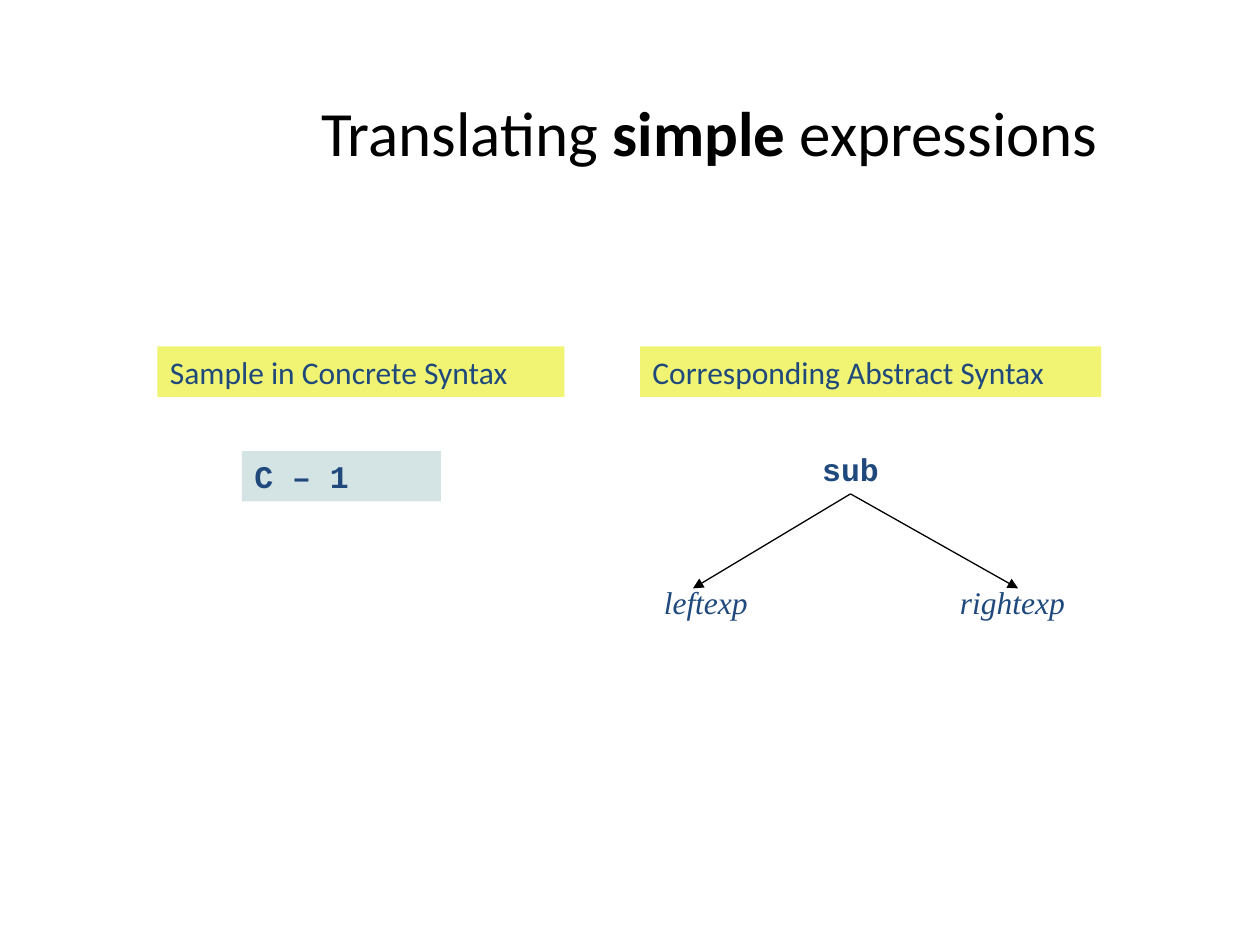
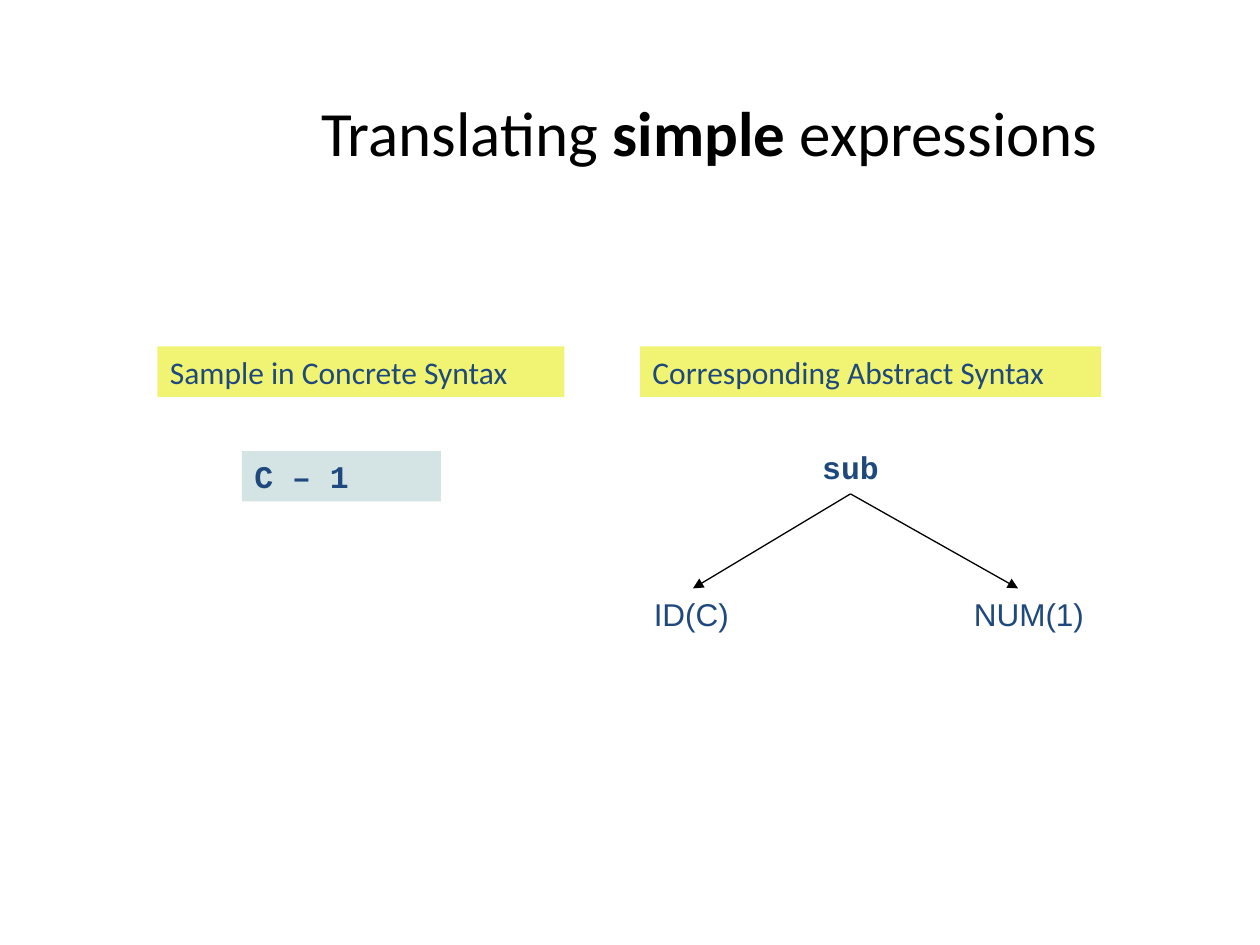
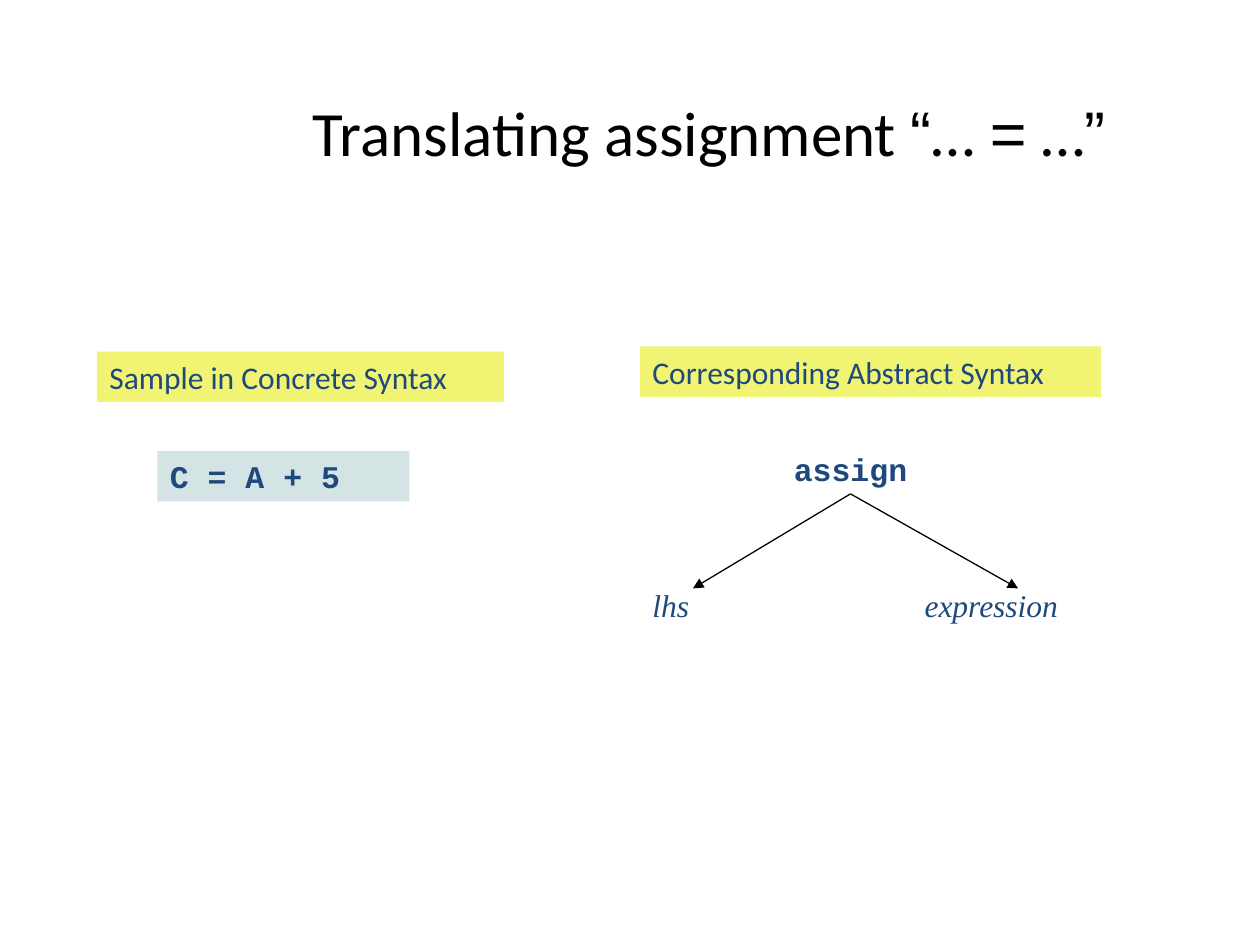
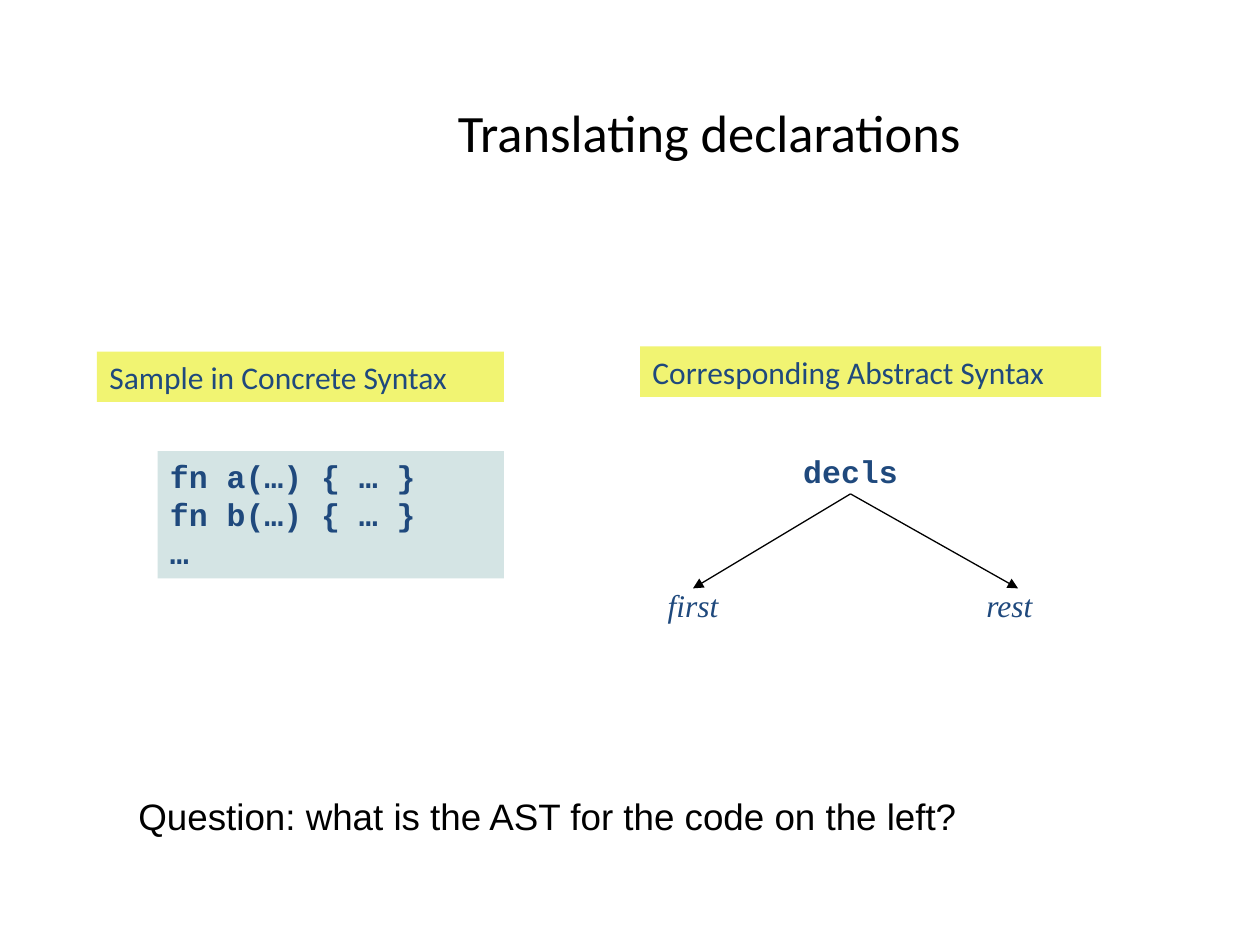
import pptx
import pptx.util
import pptx.dml.color
import pptx.enum.shapes
import pptx.enum.text
import pptx.oxml.ns
import lxml.etree

Inches = pptx.util.Inches
Pt = pptx.util.Pt
RGBColor = pptx.dml.color.RGBColor
PP_ALIGN = pptx.enum.text.PP_ALIGN
MSO_ANCHOR = pptx.enum.text.MSO_ANCHOR

BLACK = RGBColor(0x00, 0x00, 0x00)
NAVY = RGBColor(0x1F, 0x49, 0x7D)
YELLOW = RGBColor(0xF1, 0xF4, 0x72)
PALE_TEAL = RGBColor(0xD4, 0xE4, 0xE4)

BODY_FONT = "Calibri"
PLAIN_FONT = "Arial"
CODE_FONT = "Courier New"
LEAF_FONT = "Times New Roman"

ROW_HEIGHT = 0.4
ROOT_X, BRANCH_TOP, BRANCH_BOTTOM = 6.75, 3.92, 4.67
LEAF_XS = (5.5, 8.08)


def format_run(r, font, size=18, color=NAVY, bold=False, italic=False):
    r.font.name = font
    r.font.size = Pt(size)
    r.font.color.rgb = color
    r.font.bold = bold
    r.font.italic = italic


def set_text(sp, text, font, wrap=True, **style):
    tf = sp.text_frame
    tf.word_wrap = wrap
    tf.vertical_anchor = MSO_ANCHOR.TOP
    tf.text = text
    for p in tf.paragraphs:
        p.alignment = PP_ALIGN.LEFT
        for r in p.runs:
            format_run(r, font, **style)


def add_text(s, left, top, width, height, text, font, **style):
    sp = s.shapes.add_textbox(Inches(left), Inches(top), Inches(width), Inches(height))
    set_text(sp, text, font, **style)
    return sp


def add_box(s, left, top, width, height, fill, text, font, **style):
    sp = s.shapes.add_shape(pptx.enum.shapes.MSO_SHAPE.RECTANGLE,
                            Inches(left), Inches(top), Inches(width), Inches(height))
    sp.shadow.inherit = False
    sp.fill.solid()
    sp.fill.fore_color.rgb = fill
    sp.line.fill.background()
    set_text(sp, text, font, **style)


def add_title(s, pieces, size=36):
    sp = s.shapes.add_textbox(Inches(1.67), Inches(0.21), Inches(7.92), Inches(1.67))
    tf = sp.text_frame
    tf.word_wrap = True
    tf.vertical_anchor = MSO_ANCHOR.MIDDLE
    p = tf.paragraphs[0]
    p.alignment = PP_ALIGN.CENTER
    for text, font, bold in pieces:
        r = p.add_run()
        r.text = text
        format_run(r, font, size, BLACK, bold)


def add_headings(s, left, top):
    add_box(s, left, top, 3.23, ROW_HEIGHT, YELLOW, "Sample in Concrete Syntax", BODY_FONT)
    add_box(s, 5.08, 2.75, 3.66, ROW_HEIGHT, YELLOW, "Corresponding Abstract Syntax", BODY_FONT)


def add_code(s, left, width, text, height=ROW_HEIGHT):
    add_box(s, left, 3.58, width, height, PALE_TEAL, text, CODE_FONT, bold=True)


def add_arrow(s, x1, y1, x2, y2):
    c = s.shapes.add_connector(pptx.enum.shapes.MSO_CONNECTOR.STRAIGHT,
                               Inches(x1), Inches(y1), Inches(x2), Inches(y2))
    c.line.color.rgb = BLACK
    c.line.width = Pt(0.75)
    qn = pptx.oxml.ns.qn
    lxml.etree.SubElement(c.line._get_or_add_ln(), qn("a:tailEnd"), type="triangle")
    lxml.etree.SubElement(c._element.spPr, qn("a:effectLst"))


def add_root(s, text, width, top=3.52):
    sp = add_text(s, ROOT_X - width / 2, top, width, ROW_HEIGHT, text, CODE_FONT,
                  wrap=False, bold=True)
    sp.text_frame.paragraphs[0].alignment = PP_ALIGN.CENTER


def add_leaves(s, left, top, width, labels, tab, font=LEAF_FONT, italic=True):
    sp = add_text(s, left, top, width, ROW_HEIGHT, "\t".join(labels), font, italic=italic)
    qn = pptx.oxml.ns.qn
    pPr = sp.text_frame.paragraphs[0]._p.get_or_add_pPr()
    tabs = lxml.etree.SubElement(pPr, qn("a:tabLst"))
    lxml.etree.SubElement(tabs, qn("a:tab"), pos=str(Inches(tab)), algn="l")


def add_branches(s):
    for x in LEAF_XS:
        add_arrow(s, ROOT_X, BRANCH_TOP, x, BRANCH_BOTTOM)


def add_slide(prs):
    return prs.slides.add_slide(prs.slide_layouts[6])


def add_expression_slide(prs, root_top):
    s = add_slide(prs)
    add_title(s, [("Translating ", BODY_FONT, False), ("simple", BODY_FONT, True),
                  (" expressions", BODY_FONT, False)])
    add_headings(s, 1.25, 2.75)
    add_code(s, 1.92, 1.58, "C – 1")
    add_root(s, "sub", 0.66, root_top)
    add_branches(s)
    return s


def add_assignment_slide(prs):
    s = add_slide(prs)
    add_title(s, [("Translating assignment ", BODY_FONT, False), ("“", PLAIN_FONT, False),
                  ("… ", BODY_FONT, False), ("=", CODE_FONT, False),
                  (" …", BODY_FONT, False), ("”", PLAIN_FONT, False)])
    add_headings(s, 0.77, 2.79)
    add_code(s, 1.25, 2, "C = A + 5")
    add_root(s, "assign", 1.1)
    add_leaves(s, 5.08, 4.6, 3.44, ("lhs", "expression"), 2.16)
    add_branches(s)


def add_declarations_slide(prs):
    s = add_slide(prs)
    add_title(s, [("Translating declarations", BODY_FONT, False)], 30)
    add_headings(s, 0.77, 2.79)
    add_code(s, 1.25, 2.75, "fn a(…) { … }\nfn b(…) { … }\n…", 1.01)
    add_root(s, "decls", 0.96, 3.54)
    add_leaves(s, 5.2, 4.6, 3.2, ("first", "rest"), 2.53)
    add_branches(s)
    add_text(s, 1, 6.25, 8.08, 0.45, "Question: what is the AST for the code on the left?",
             PLAIN_FONT, size=21, color=BLACK)


def main():
    prs = pptx.Presentation()
    prs.slide_width = Inches(10)
    prs.slide_height = Inches(7.5)
    s = add_expression_slide(prs, 3.52)
    add_leaves(s, 5.17, 4.58, 3.39, ("leftexp", "rightexp"), 2.35)
    s = add_expression_slide(prs, 3.51)
    add_leaves(s, 5.09, 4.67, 3.65, ("ID(C)", "NUM(1)"), 2.54, PLAIN_FONT, False)
    add_assignment_slide(prs)
    add_declarations_slide(prs)
    prs.save("out.pptx")


main()
